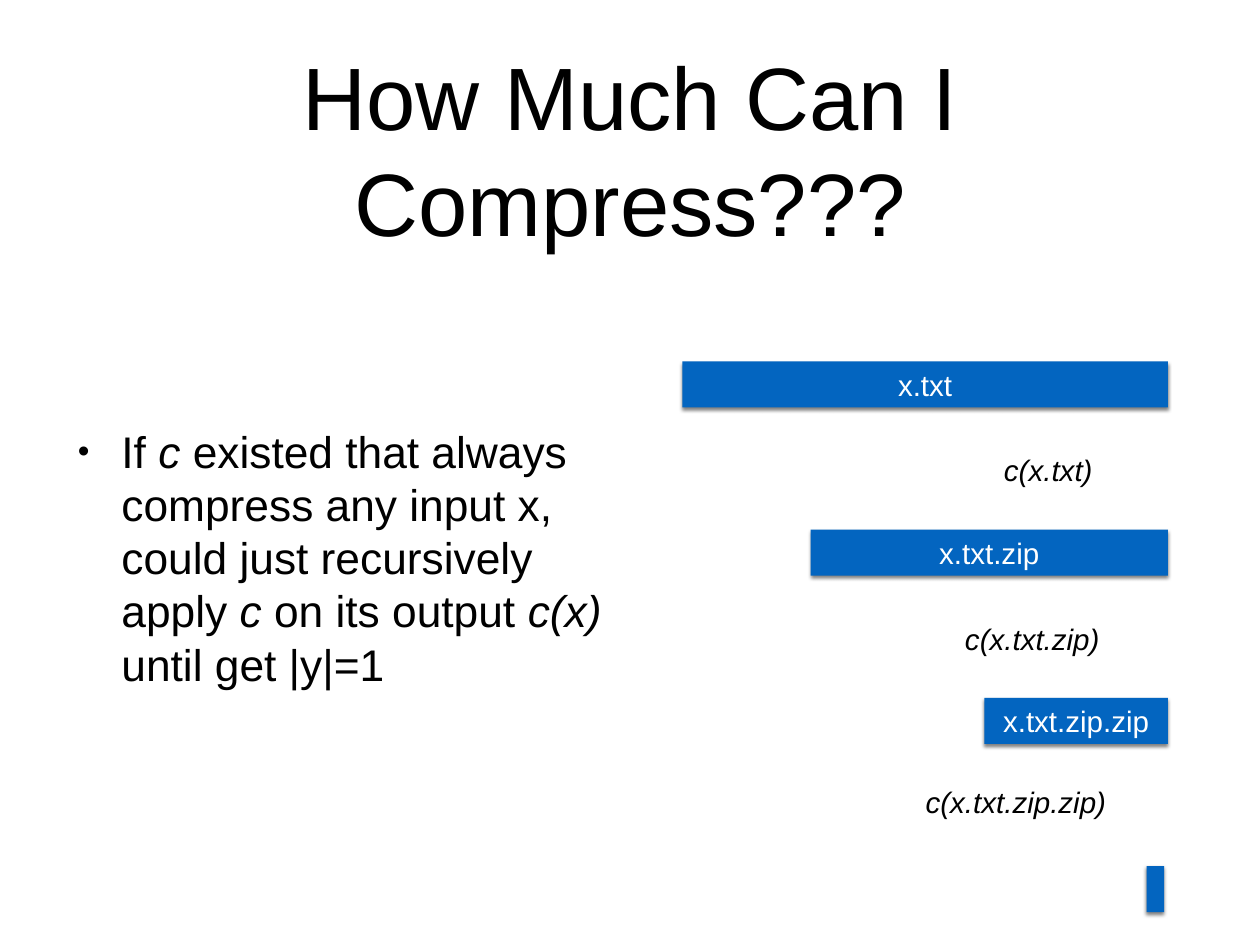
"""Build a slide on why a compressor cannot shrink every input."""
from dataclasses import dataclass

from lxml import etree
from pptx import Presentation
from pptx.dml.color import RGBColor
from pptx.enum.shapes import MSO_SHAPE
from pptx.enum.text import MSO_ANCHOR, MSO_AUTO_SIZE, PP_ALIGN
from pptx.oxml.ns import qn
from pptx.util import Inches, Pt

RECTANGLE = MSO_SHAPE.RECTANGLE
MIDDLE = MSO_ANCHOR.MIDDLE
CENTER, LEFT = PP_ALIGN.CENTER, PP_ALIGN.LEFT
FIT_TEXT = MSO_AUTO_SIZE.SHAPE_TO_FIT_TEXT


@dataclass(frozen=True)
class Theme:
    font: str = "Arial"
    ink: RGBColor = RGBColor(0x00, 0x00, 0x00)
    paper: RGBColor = RGBColor(0xFF, 0xFF, 0xFF)
    bar: RGBColor = RGBColor(0x03, 0x65, 0xC0)
    title_size: int = 72
    body_size: int = 36
    label_size: int = 24


theme = Theme()


def write(box, spans, size, color, align=CENTER, wrap=True):
    """Fill a box with one paragraph of (text, italic) spans and return it."""
    frame = box.text_frame
    frame.word_wrap = wrap
    frame.vertical_anchor = MIDDLE
    frame.margin_left = frame.margin_right = Inches(0.06)
    frame.margin_top = frame.margin_bottom = Inches(0.06)
    para = frame.paragraphs[0]
    para.alignment = align
    for text, italic in spans:
        span = para.add_run()
        span.text = text
        span.font.name = theme.font
        span.font.size = Pt(size)
        span.font.italic = italic
        span.font.color.rgb = color
    return para


def add_shadow(shape):
    """Give a shape a soft shadow that falls straight down."""
    shape.shadow.inherit = False
    effects = shape._element.spPr.find(qn("a:effectLst"))
    shadow = etree.SubElement(effects, qn("a:outerShdw"), blurRad=str(Pt(3)),
                              dist=str(Pt(2)), dir="5400000", rotWithShape="0")
    color = etree.SubElement(shadow, qn("a:srgbClr"), val="000000")
    etree.SubElement(color, qn("a:alpha"), val="50000")


deck = Presentation()
deck.slide_width, deck.slide_height = Inches(14.22), Inches(10.67)
page = deck.slides.add_slide(deck.slide_layouts[6])
page.background.fill.solid()
page.background.fill.fore_color.rgb = theme.paper

title = page.shapes.add_textbox(Inches(1.04), Inches(0.49), Inches(12.14), Inches(2.36))
write(title, [("How Much Can I Compress???", False)], theme.title_size, theme.ink)

body = page.shapes.add_textbox(Inches(0.82), Inches(2.85), Inches(6.11), Inches(6.88))
argument = [
    ("If ", False),
    ("c", True),
    (" existed that always compress any input x, could just recursively apply ", False),
    ("c ", True),
    ("on its output ", False),
    ("c(x)", True),
    (" until get |y|=1", False),
]
bullet = write(body, argument, theme.body_size, theme.ink, LEFT)._p.get_or_add_pPr()
bullet.set("marL", str(Inches(0.49)))
bullet.set("indent", str(-Inches(0.49)))
etree.SubElement(bullet, qn("a:buSzPct"), val="75000")
etree.SubElement(bullet, qn("a:buFont"), typeface=theme.font)
etree.SubElement(bullet, qn("a:buChar"), char="•")

row_height = 0.52
first_top, row_step = 4.08, 1.9
bars = [
    ("x.txt", 7.7, 5.48),
    ("x.txt.zip", 9.15, 4.03),
    ("x.txt.zip.zip", 11.11, 2.07),
    ("", 12.94, 0.2),
]
for row, (name, left, width) in enumerate(bars):
    bar = page.shapes.add_shape(RECTANGLE, Inches(left), Inches(first_top + row * row_step),
                                Inches(width), Inches(row_height))
    bar.fill.solid()
    bar.fill.fore_color.rgb = theme.bar
    bar.line.fill.background()
    add_shadow(bar)
    if name:
        write(bar, [(name, False)], theme.label_size, theme.paper)
        bar.text_frame.auto_size = FIT_TEXT

calls = [
    ("c(x.txt)", 11.27, 5.04, 1.12),
    ("c(x.txt.zip)", 10.83, 6.95, 1.64),
    ("c(x.txt.zip.zip)", 10.38, 8.79, 2.17),
]
for call, left, top, width in calls:
    label = page.shapes.add_textbox(Inches(left), Inches(top), Inches(width), Inches(row_height))
    write(label, [(call, True)], theme.label_size, theme.ink, wrap=False)
    label.text_frame.auto_size = FIT_TEXT

deck.save("out.pptx")
